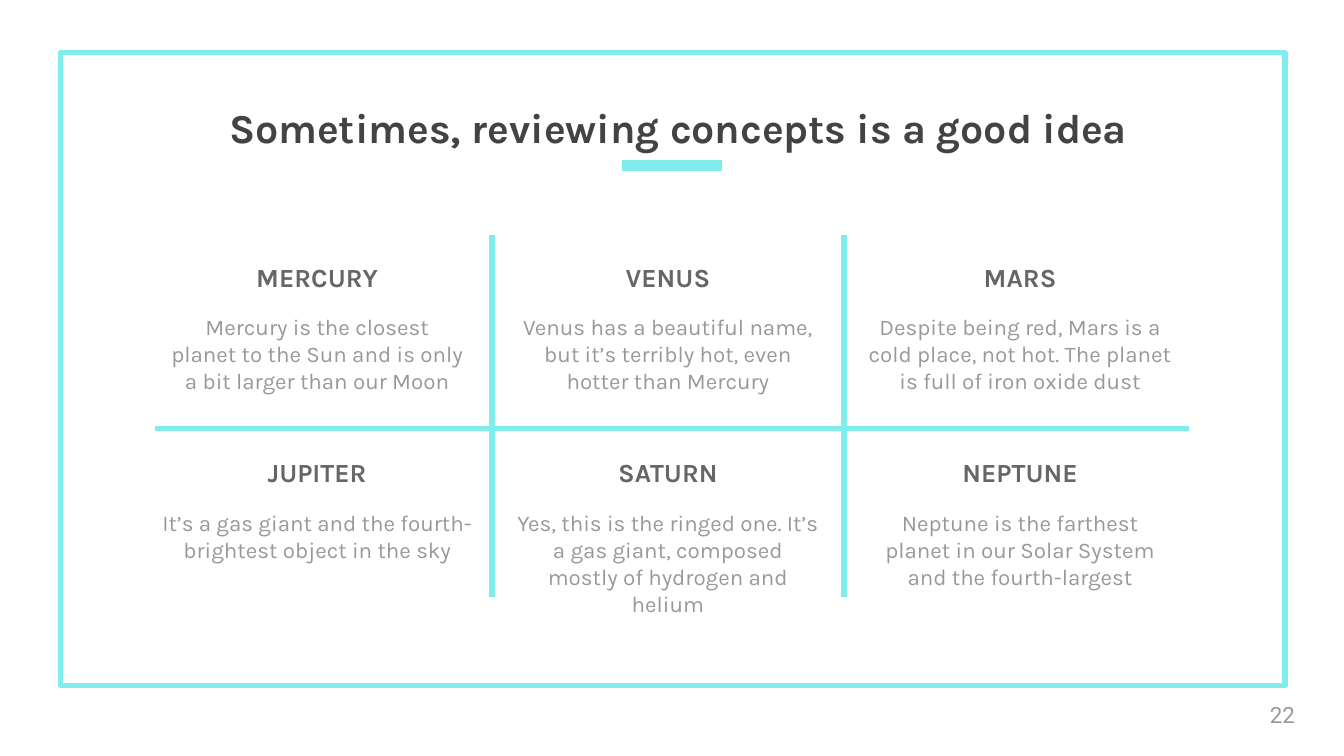
import pptx
import pptx.dml.color
import pptx.enum.shapes
import pptx.enum.text
import pptx.oxml
import pptx.util
from pptx.util import Inches

AQUA = pptx.dml.color.RGBColor(0x81, 0xEC, 0xEC)
DARK = pptx.dml.color.RGBColor(0x43, 0x43, 0x43)
MID = pptx.dml.color.RGBColor(0x66, 0x66, 0x66)
LIGHT = pptx.dml.color.RGBColor(0x99, 0x99, 0x99)

ANCHOR = pptx.enum.text.MSO_ANCHOR
ALIGN = pptx.enum.text.PP_ALIGN

TITLE = {"size": pptx.util.Pt(22), "name": "Karla", "bold": True}
NAME = {"size": pptx.util.Pt(14), "name": "Karla", "bold": True}
BODY = {"size": pptx.util.Pt(12), "name": "Karla", "bold": False}
NUMBER = {"size": pptx.util.Pt(12), "name": "Roboto", "bold": False}

# Widescreen page, 16 to 9
deck = pptx.Presentation()
deck.slide_width = Inches(10)
deck.slide_height = Inches(10 * 9 / 16)
page = deck.slides.add_slide(deck.slide_layouts[6])


def add_line(x1, y1, x2, y2, weight):
    line = page.shapes.add_connector(
        pptx.enum.shapes.MSO_CONNECTOR.STRAIGHT,
        Inches(x1), Inches(y1), Inches(x2), Inches(y2))
    line.line.color.rgb = AQUA
    line.line.width = pptx.util.Pt(weight)
    line._element.spPr.append(pptx.oxml.parse_xml(
        '<a:effectLst xmlns:a="http://schemas.openxmlformats.org/drawingml/2006/main"/>'))


def add_text(words, place, style, color, anchor, align=ALIGN.CENTER):
    box = page.shapes.add_textbox(*[Inches(length) for length in place])
    frame = box.text_frame
    frame_format = {"word_wrap": True, "vertical_anchor": anchor}
    for side in ("left", "top", "right", "bottom"):
        frame_format["margin_" + side] = Inches(0.1)
    for key, value in frame_format.items():
        setattr(frame, key, value)
    para = frame.paragraphs[0]
    para.alignment = align
    span = para.add_run()
    span.text = words
    for key, value in style.items():
        setattr(span.font, key, value)
    span.font.color.rgb = color


# Border around the page
border = page.shapes.add_shape(
    pptx.enum.shapes.MSO_SHAPE.RECTANGLE,
    Inches(0.45), Inches(0.39), Inches(9.11), Inches(4.71))
border.shadow.inherit = False
border.fill.background()
border.line.color.rgb = AQUA
border.line.width = pptx.util.Pt(3)

# Long divider, title, column dividers, page number and title underline
add_line(1.15, 3.19, 8.85, 3.19, 3)
add_text("Sometimes, reviewing concepts is a good idea",
         (0.85, 0.7, 8.39, 0.53), TITLE, DARK, ANCHOR.BOTTOM)
for x in (3.66, 6.28):
    add_line(x, 1.75, x, 4.44, 3)
add_text("22", (9.35, 5.1, 0.6, 0.43), NUMBER, LIGHT, ANCHOR.MIDDLE, ALIGN.LEFT)
add_line(4.63, 1.23, 5.37, 1.23, 6)

# Short divider under each column
for column in range(3):
    start = 1.26 + 2.6 * column
    add_line(start, 3.19, start + 2.25, 3.19, 2.25)

# Planets: name, description and width of the description
planets = [
    ("MERCURY", "Mercury is the closest planet to the Sun and is only a bit larger than our Moon", 2.38),
    ("VENUS", "Venus has a beautiful name, but it’s terribly hot, even hotter than Mercury", 2.38),
    ("MARS", "Despite being red, Mars is a cold place, not hot. The planet is full of iron oxide dust", 2.54),
    ("JUPITER", "It’s a gas giant and the fourth-brightest object in the sky", 2.58),
    ("SATURN", "Yes, this is the ringed one. It’s a gas giant, composed mostly of hydrogen and helium", 2.45),
    ("NEPTUNE", "Neptune is the farthest planet in our Solar System and the fourth-largest", 2.31),
]
column_centers = (2.36, 4.97, 7.59)
name_width, height = 2.31, 0.71
for index, (name, description, width) in enumerate(planets):
    row, column = divmod(index, 3)
    center = column_centers[column]
    name_top = 1.57 + 1.45 * row
    body_top = 2.23 + 1.46 * row
    add_text(name, (center - name_width / 2, name_top, name_width, height),
             NAME, MID, ANCHOR.BOTTOM)
    add_text(description, (center - width / 2, body_top, width, height),
             BODY, LIGHT, ANCHOR.TOP)

deck.save("out.pptx")
